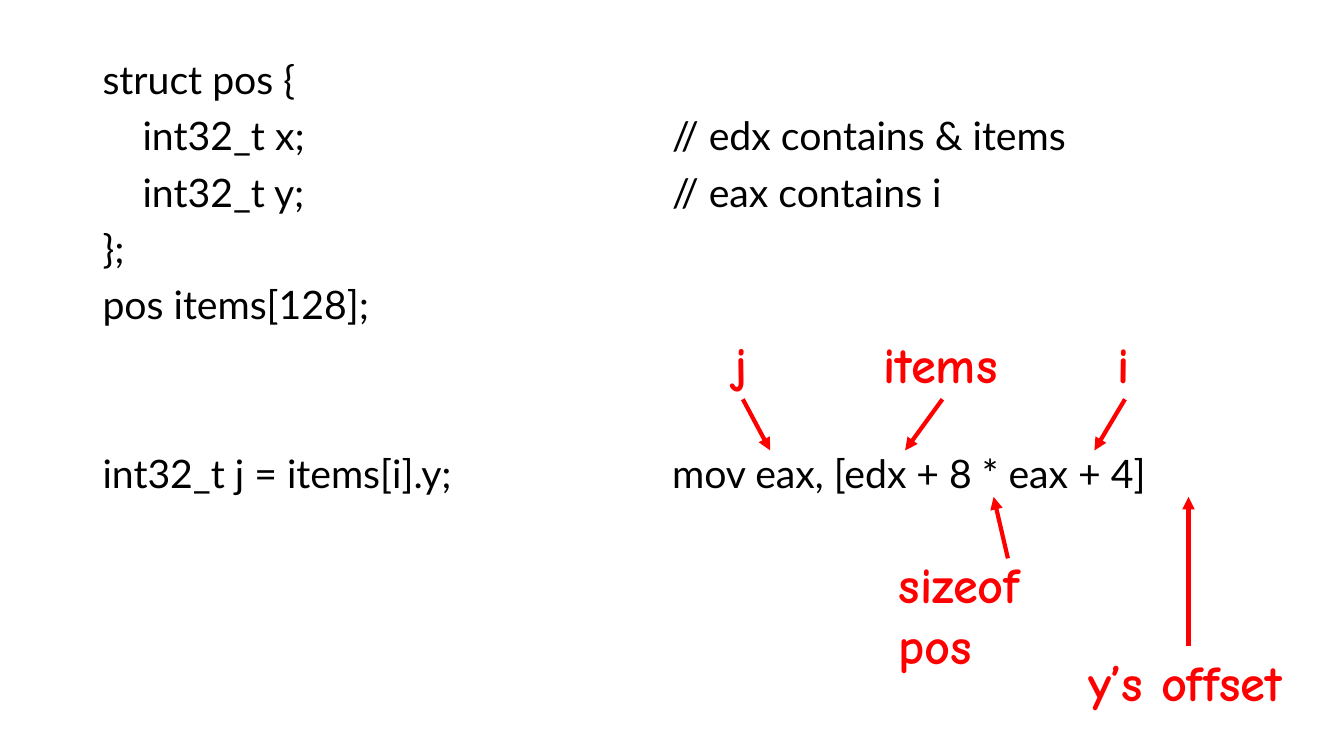
from pptx import Presentation
from pptx.dml.color import RGBColor as RGB
from pptx.enum.shapes import MSO_CONNECTOR as CONN
from pptx.enum.text import MSO_ANCHOR, MSO_AUTO_SIZE as FIT
from pptx.oxml.ns import qn
from pptx.util import Cm, Pt
from lxml.etree import SubElement

COLORS = {"code": "000000", "note": "FF0000"}
CODE_FONT, NOTE_FONT = "Lato", "Comic Neue"
GAP, LINE = 10, 40.24
INDENT = 1.01

SOURCE = [
    ("struct pos {", 0, 0),
    ("int32_t x;", INDENT, 0),
    ("int32_t y;", INDENT, 0),
    ("};", 0, 0),
    ("pos items[128];", 0, 0),
    ("int32_t j = items[i].y;", 0, 2),
]
ASSEMBLY = [
    ("// edx contains & items", 0, 0),
    ("// eax contains i", 0, 0),
    ("mov eax, [edx + 8 * eax + 4]", 0, 4),
]
NOTES = [
    ("j", (18.26, 8.26, 0.84, 1.8), (18.72, 10.06), (19.41, 11.35)),
    ("i", (27.91, 8.26, 0.91, 1.8), (28.35, 10.06), (27.58, 11.35)),
    ("items", (22.02, 8.26, 3.48, 1.8), (23.75, 10.06), (22.81, 11.35)),
    ("sizeof\vpos", (22.4, 13.82, 3.6, 3.33), (25.4, 14.07), (25.04, 12.52)),
    ("y’s offset", (27.18, 16.28, 5.51, 1.8), (29.95, 16.28), (29.95, 12.52)),
]


def style(r, font, size, color, bold=False):
    r.font.name, r.font.size, r.font.bold = font, Pt(size), bold
    r.font.color.rgb = RGB.from_string(COLORS[color])


def add_code(sp, box, lines):
    sp.left, sp.top, sp.width, sp.height = map(Cm, box)
    tf = sp.text_frame
    tf.text = "\n".join(text for text, _, _ in lines)
    tf.word_wrap, tf.auto_size = True, FIT.NONE
    tf.vertical_anchor = MSO_ANCHOR.TOP
    for p, (_, indent, skipped) in zip(tf.paragraphs, lines):
        p.line_spacing = 0.9
        p.space_before = Pt(GAP + skipped * LINE)
        pPr = p._p.get_or_add_pPr()
        pPr.set("marL", str(Cm(indent)))
        pPr.set("indent", "0")
        SubElement(pPr, qn("a:buNone"))
        style(p.runs[0], CODE_FONT, 28, "code")


def add_note(s, text, box, start, end):
    tf = s.shapes.add_textbox(*map(Cm, box)).text_frame
    tf.text = text
    tf.word_wrap, tf.auto_size = False, FIT.SHAPE_TO_FIT_TEXT
    for r in tf.paragraphs[0].runs:
        style(r, NOTE_FONT, 36, "note", True)
    arrow = s.shapes.add_connector(CONN.STRAIGHT, *map(Cm, start + end))
    arrow.line.color.rgb = RGB.from_string(COLORS["note"])
    arrow.line.width = Pt(3)
    SubElement(arrow.line._get_or_add_ln(), qn("a:tailEnd"), type="triangle")
    SubElement(arrow._element.spPr, qn("a:effectLst"))


def add_code_slide(prs, box):
    left, top, width, height = box
    s = prs.slides.add_slide(prs.slide_layouts[3])
    title, source, assembly = s.placeholders
    title._element.getparent().remove(title._element)
    column = (width - 0.5) / 2
    step = Pt(LINE).cm
    add_code(source, (left, top, column + 0.5, height), SOURCE)
    add_code(assembly, (left + column, top + step, column + 0.5, height - step), ASSEMBLY)
    for note in NOTES:
        add_note(s, *note)


prs = Presentation()
prs.slide_width, prs.slide_height = Cm(33.87), Cm(19.05)
add_code_slide(prs, (2.33, 1.4, 29.21, 15.75))
prs.save("out.pptx")
